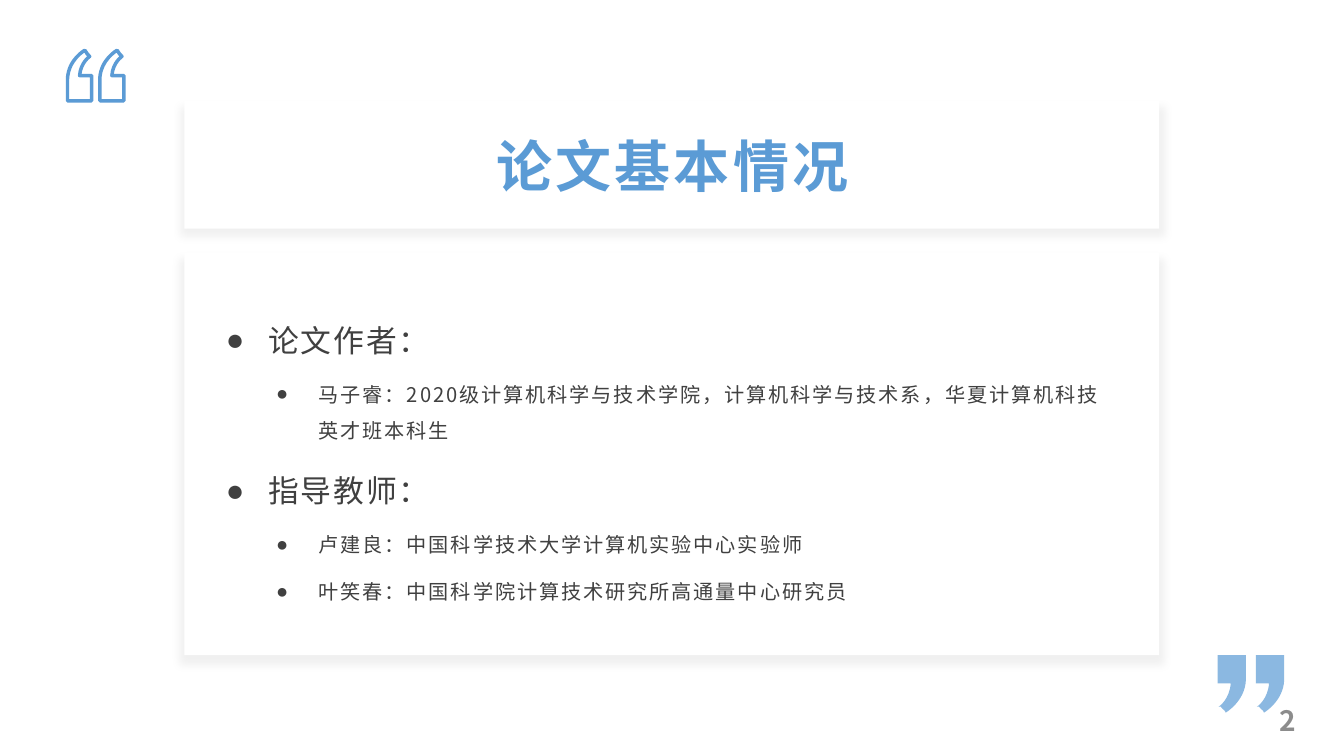
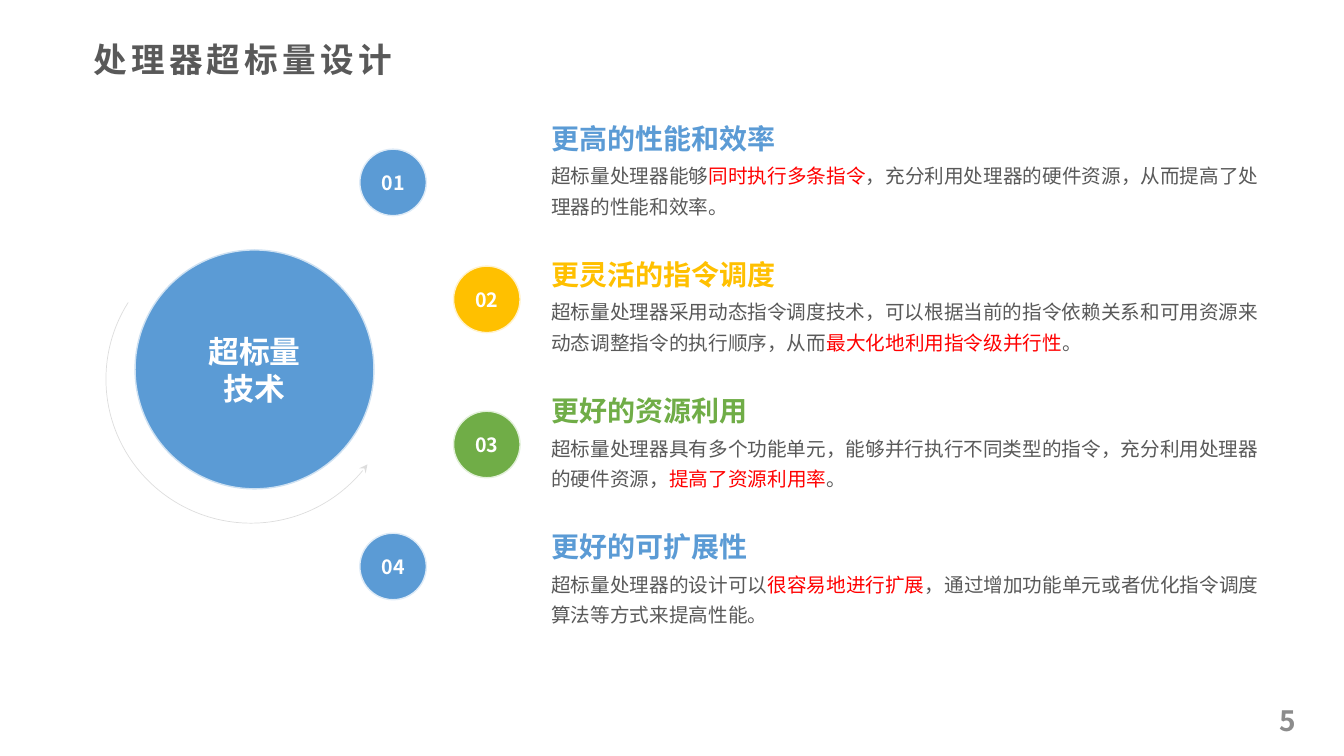
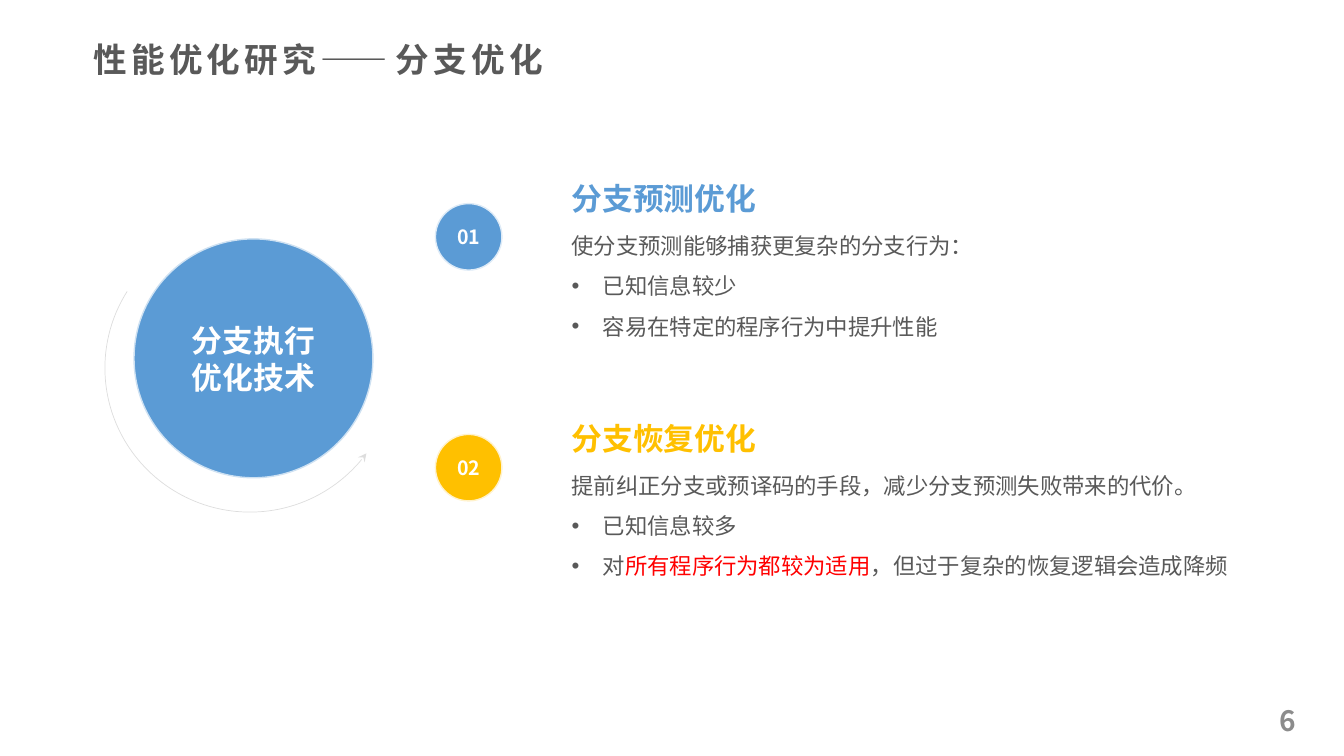
"""Builds three slides of a thesis defence on processor design."""
from lxml.etree import SubElement
from pptx import Presentation
from pptx.dml.color import RGBColor
from pptx.enum.shapes import MSO_SHAPE as Preset
from pptx.enum.text import MSO_ANCHOR as Anchor, PP_ALIGN as Align
from pptx.oxml.ns import qn
from pptx.util import Pt

PX = 9144
FONT = "Noto Sans CJK SC"
BLUE = RGBColor(0x5B, 0x9B, 0xD5)
GOLD = RGBColor(0xFF, 0xC0, 0x00)
GREEN = RGBColor(0x70, 0xAD, 0x47)
RED = RGBColor(0xFF, 0x00, 0x00)
WHITE = RGBColor(0xFF, 0xFF, 0xFF)
DARK = RGBColor(0x40, 0x40, 0x40)
GRAY = RGBColor(0x59, 0x59, 0x59)
PAGE_GRAY = RGBColor(0x8C, 0x8C, 0x8C)
HUB_RIM = RGBColor(0xCE, 0xE1, 0xF2)
BADGE_RIMS = {
    BLUE: RGBColor(0xDE, 0xEB, 0xF7),
    GOLD: RGBColor(0xFF, 0xF2, 0xCC),
    GREEN: RGBColor(0xE2, 0xF0, 0xD9),
}

INTRO_TITLE = "论文基本情况"
INTRO = [
    (0, "论文作者："),
    (1, "马子睿：2020级计算机科学与技术学院，计算机科学与技术系，华夏计算机科技英才班本科生"),
    (0, "指导教师："),
    (1, "卢建良：中国科学技术大学计算机实验中心实验师"),
    (1, "叶笑春：中国科学院计算技术研究所高通量中心研究员"),
]
INTRO_LEVELS = [(22, 42), (14.4, 92)]
INTRO_INSETS = (7, 3, 7, 3)
CARDS = [(183, 251, 967, 399), (183, 100, 967, 127)]

OPEN_QUOTE = [
    [(17, 0)], [(18, 1)], [(19, 3), (20, 4), (21, 5)], [(22, 6)],
    [(22, 6), (13, 12), (12, 25)], [(24, 25)], [(24, 50)], [(0, 50)],
    [(0, 28)], [(1, 9), (17, 0), (17, 0)],
]
CLOSE_QUOTE = [
    [(8, 57)], [(7, 55)], [(6, 54), (4, 53), (3, 51)], [(1, 51)],
    [(2, 51), (12, 43), (13, 28)], [(0, 28)], [(0, 0)], [(28, 0)],
    [(28, 25)], [(27, 46), (8, 57), (8, 57)],
]

TOPICS = [
    dict(
        page=5, title="处理器超标量设计", title_width=362,
        hub=["超标量", "技术"], hub_at=(134, 248),
        left=547, top=111, step=135, width=710, head_height=43, body_drop=45,
        body_height=78, head_size=20, body_size=14, leading=1.3,
        points=[
            (BLUE, (357, 148), "更高的性能和效率",
             ["超标量处理器能够|同时执行多条指令|，充分利用处理器的硬件资源，从而提高了处理器的性能和效率。"]),
            (GOLD, (450, 264), "更灵活的指令调度",
             ["超标量处理器采用动态指令调度技术，可以根据当前的指令依赖关系和可用资源来"
              "动态调整指令的执行顺序，从而|最大化地利用指令级并行性|。"]),
            (GREEN, (450, 408), "更好的资源利用",
             ["超标量处理器具有多个功能单元，能够并行执行不同类型的指令，"
              "充分利用处理器的硬件资源，|提高了资源利用率|。"]),
            (BLUE, (357, 529), "更好的可扩展性",
             ["超标量处理器的设计可以|很容易地进行扩展|，通过增加功能单元或者优化指令调度算法等方式来提高性能。"]),
        ],
    ),
    dict(
        page=6, title="性能优化研究——分支优化", title_width=533,
        hub=["分支执行", "优化技术"], hub_at=(133, 237),
        left=567, top=174, step=238, width=691, head_height=41, body_drop=43,
        body_height=168, head_size=22, body_size=16, leading=1.5,
        points=[
            (BLUE, (432, 202), "分支预测优化",
             ["使分支预测能够捕获更复杂的分支行为：", "已知信息较少", "容易在特定的程序行为中提升性能"]),
            (GOLD, (432, 431), "分支恢复优化",
             ["提前纠正分支或预译码的手段，减少分支预测失败带来的代价。", "已知信息较多",
              "对|所有程序行为都较为适用|，但过于复杂的恢复逻辑会造成降频"]),
        ],
    ),
]


def emu(*lengths):
    return [length * PX for length in lengths]


def write(paragraph, text, size, color, bold=False, spacing=0, align=Align.LEFT):
    """Fill a paragraph; parts between bars are red."""
    paragraph.alignment = align
    font = paragraph.font
    font.name, font.size, font.bold = FONT, Pt(size), bold
    font.color.rgb = color
    style = paragraph._p.pPr.find(qn("a:defRPr"))
    SubElement(style, qn("a:ea"), typeface=FONT)
    if spacing:
        style.set("spc", str(round(spacing * 100)))
    for index, part in enumerate(text.split("|")):
        run = paragraph.add_run()
        run.text = part
        if index % 2:
            run.font.color.rgb = RED


def bullet(paragraph, mark, margin, hang):
    properties = paragraph._p.get_or_add_pPr()
    properties.set("marL", str(margin * PX))
    properties.set("indent", str(-hang * PX))
    SubElement(properties, qn("a:buFont"), typeface="Arial")
    SubElement(properties, qn("a:buChar"), char=mark)


def lines_of(frame, texts):
    for index, text in enumerate(texts):
        yield (frame.add_paragraph() if index else frame.paragraphs[0]), text


def add_text(slide, box, anchor=Anchor.TOP, insets=(10, 5, 10, 5)):
    frame = slide.shapes.add_textbox(*emu(*box)).text_frame
    frame.word_wrap = True
    frame.vertical_anchor = anchor
    (frame.margin_left, frame.margin_top,
     frame.margin_right, frame.margin_bottom) = emu(*insets)
    return frame


def add_filled(slide, preset, box, color, rim=None):
    shape = slide.shapes.add_shape(preset, *emu(*box))
    shape.shadow.inherit = False
    shape.fill.solid()
    shape.fill.fore_color.rgb = color
    if rim is None:
        shape.line.fill.background()
    else:
        shape.line.color.rgb = rim
        shape.line.width = Pt(1)
    return shape


def set_alpha(parent, percent):
    color = next(parent.iter(qn("a:srgbClr")))
    SubElement(color, qn("a:alpha"), val=str(percent * 1000))


def add_page_number(slide, number):
    frame = add_text(slide, (996, 695, 300, 40), Anchor.MIDDLE)
    write(frame.paragraphs[0], str(number), 20, PAGE_GRAY, bold=True, align=Align.RIGHT)


def add_card(slide, box):
    card = add_filled(slide, Preset.RECTANGLE, box, WHITE)
    effects = card._element.spPr.find(qn("a:effectLst"))
    shadow = SubElement(effects, qn("a:outerShdw"), blurRad=str(Pt(6)), dist=str(Pt(4)),
                        dir="5400000", sx="101000", sy="101000", algn="t", rotWithShape="0")
    SubElement(shadow, qn("a:srgbClr"), val="000000")
    set_alpha(shadow, 6)


def bend(shape, segments):
    """Turn the straight segments that have control points into curves."""
    straights = list(shape._element.iter(qn("a:lnTo")))
    for straight, segment in zip(straights, segments):
        if len(segment) == 3:
            outline = straight.getparent()
            curve = SubElement(outline, qn("a:cubicBezTo"))
            for x, y in segment:
                SubElement(curve, qn("a:pt"), x=str(x * PX), y=str(y * PX))
            outline.replace(straight, curve)


def add_quote(slide, outline, left, top, solid):
    start, *rest = [emu(*segment[-1]) for segment in outline]
    builder = slide.shapes.build_freeform(*start)
    builder.add_line_segments(rest, close=True)
    quote = builder.convert_to_shape(*emu(left, top))
    bend(quote, outline[1:])
    quote.shadow.inherit = False
    if solid:
        quote.fill.solid()
        quote.fill.fore_color.rgb = BLUE
        set_alpha(quote._element.spPr, 70)
        quote.line.fill.background()
    else:
        quote.fill.background()
        quote.line.color.rgb = BLUE
        quote.line.width = Pt(2.5)


def add_hub(slide, left, top, texts):
    arc = slide.shapes.add_shape(Preset.ARC, *emu(left - 28, top - 15, 285, 287))
    arc.shadow.inherit = False
    arc.adjustments[0], arc.adjustments[1] = 175.795, 65.515
    arc.rotation = 103
    arc.fill.background()
    arc.line.color.rgb = GRAY
    arc.line.width = Pt(0.5)
    outline = arc._element.spPr.find(qn("a:ln"))
    set_alpha(outline, 20)
    SubElement(outline, qn("a:headEnd"), type="stealth")

    hub = add_filled(slide, Preset.OVAL, (left, top, 237, 237), BLUE, HUB_RIM)
    hub.text_frame.vertical_anchor = Anchor.MIDDLE
    for paragraph, text in lines_of(hub.text_frame, texts):
        write(paragraph, text, 22, WHITE, bold=True, align=Align.CENTER)


def add_badge(slide, left, top, color, number):
    badge = add_filled(slide, Preset.OVAL, (left, top, 66, 66), color, BADGE_RIMS[color])
    badge.text_frame.word_wrap = False
    badge.text_frame.vertical_anchor = Anchor.MIDDLE
    write(badge.text_frame.paragraphs[0], f"{number:02d}", 14, WHITE, bold=True,
          align=Align.CENTER)


def build_intro(slide):
    for left in (67, 99):
        add_quote(slide, OPEN_QUOTE, left, 50, solid=False)
    for left in (1208, 1246):
        add_quote(slide, CLOSE_QUOTE, left, 650, solid=True)
    for box in CARDS:
        add_card(slide, box)
    heading = add_text(slide, (217, 125, 900, 77), Anchor.MIDDLE, INTRO_INSETS)
    write(heading.paragraphs[0], INTRO_TITLE, 40, BLUE, bold=True, spacing=2.4,
          align=Align.CENTER)
    people = add_text(slide, (217, 284, 900, 332), Anchor.MIDDLE, INTRO_INSETS)
    for paragraph, (level, text) in lines_of(people, INTRO):
        size, margin = INTRO_LEVELS[level]
        paragraph.level = level
        paragraph.line_spacing = 1.5
        paragraph.space_after = Pt(8)
        bullet(paragraph, "●", margin, 42)
        write(paragraph, text, size, DARK, spacing=1.4)
    add_page_number(slide, 2)


def build_topic(slide, topic):
    add_page_number(slide, topic["page"])
    title = add_text(slide, (83, 34, topic["title_width"], 50))
    write(title.paragraphs[0], topic["title"], 24, GRAY, bold=True, spacing=3)
    add_hub(slide, *topic["hub_at"], topic["hub"])
    left, width = topic["left"], topic["width"]
    for index, (color, badge_at, heading, texts) in enumerate(topic["points"]):
        top = topic["top"] + index * topic["step"]
        add_badge(slide, *badge_at, color, index + 1)
        head = add_text(slide, (left, top, width, topic["head_height"]), Anchor.BOTTOM,
                        (0, 0, 0, 0))
        write(head.paragraphs[0], heading, topic["head_size"], color, bold=True)
        body = add_text(slide, (left, top + topic["body_drop"], width, topic["body_height"]),
                        insets=(0, 0, 0, 0))
        for row, (paragraph, text) in enumerate(lines_of(body, texts)):
            paragraph.line_spacing = topic["leading"]
            if row:
                bullet(paragraph, "•", 31, 31)
            write(paragraph, text, topic["body_size"], GRAY)


def main():
    deck = Presentation()
    deck.slide_width, deck.slide_height = Pt(960), Pt(540)
    blank = deck.slide_layouts[6]
    build_intro(deck.slides.add_slide(blank))
    for topic in TOPICS:
        build_topic(deck.slides.add_slide(blank), topic)
    deck.save("out.pptx")


if __name__ == "__main__":
    main()
